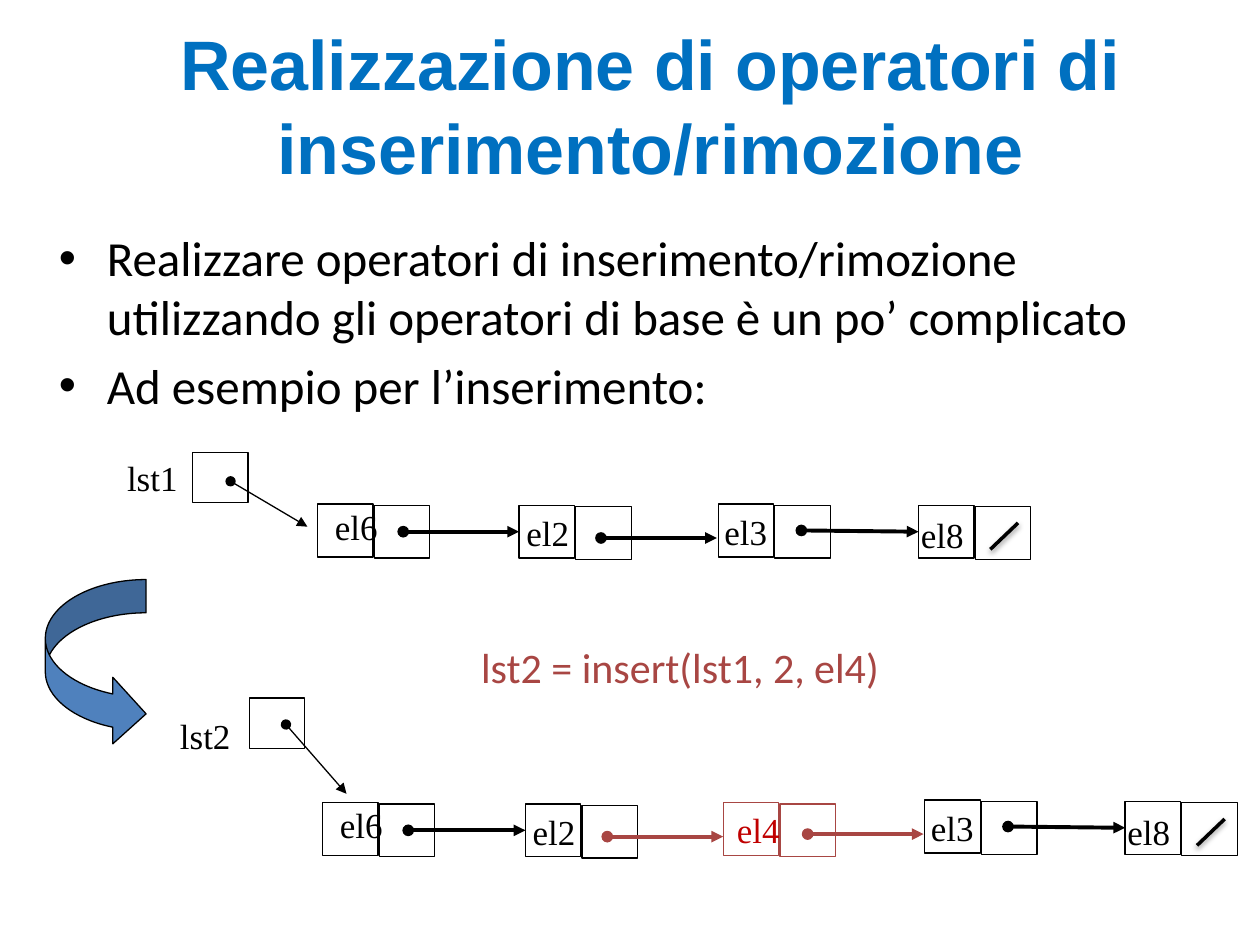
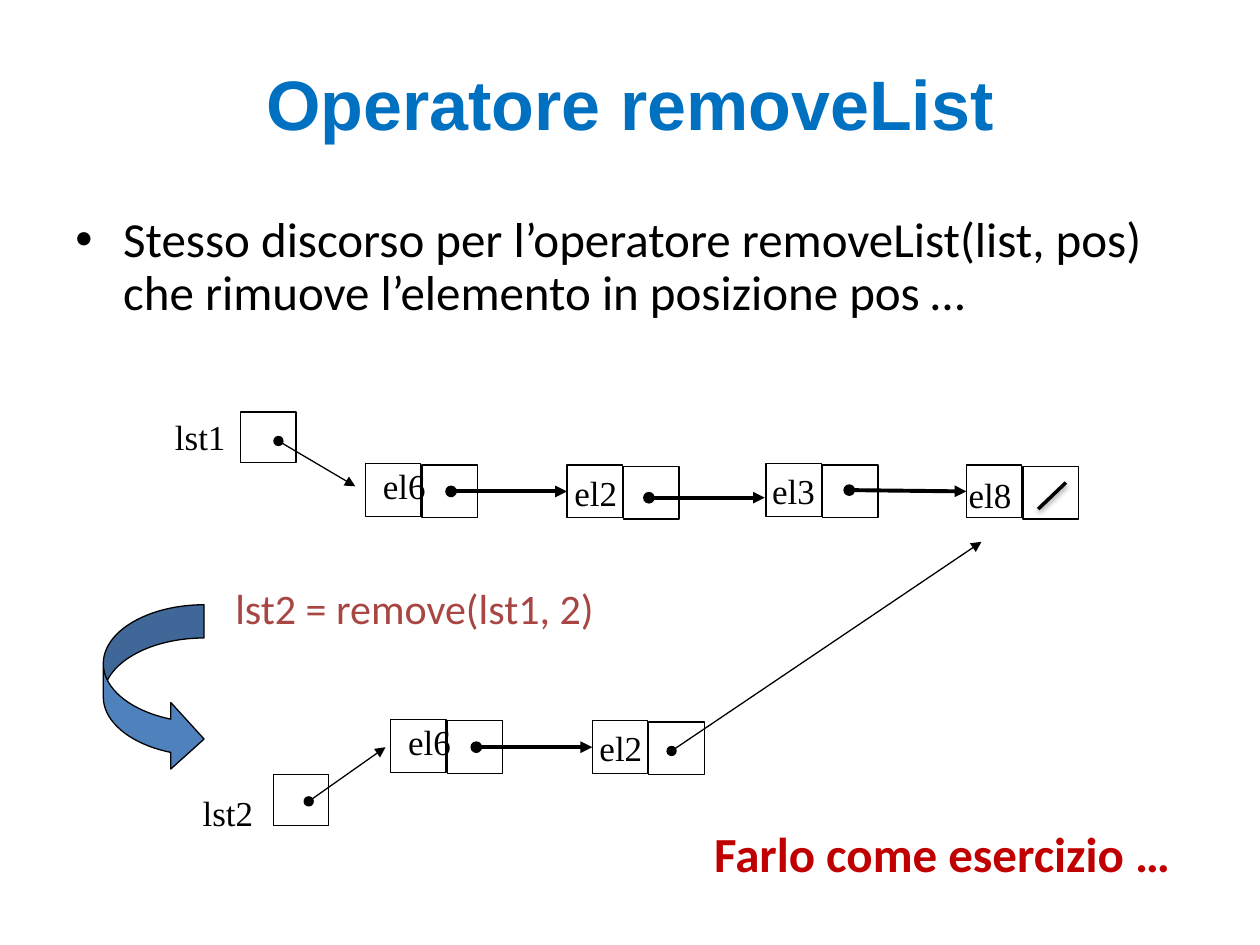
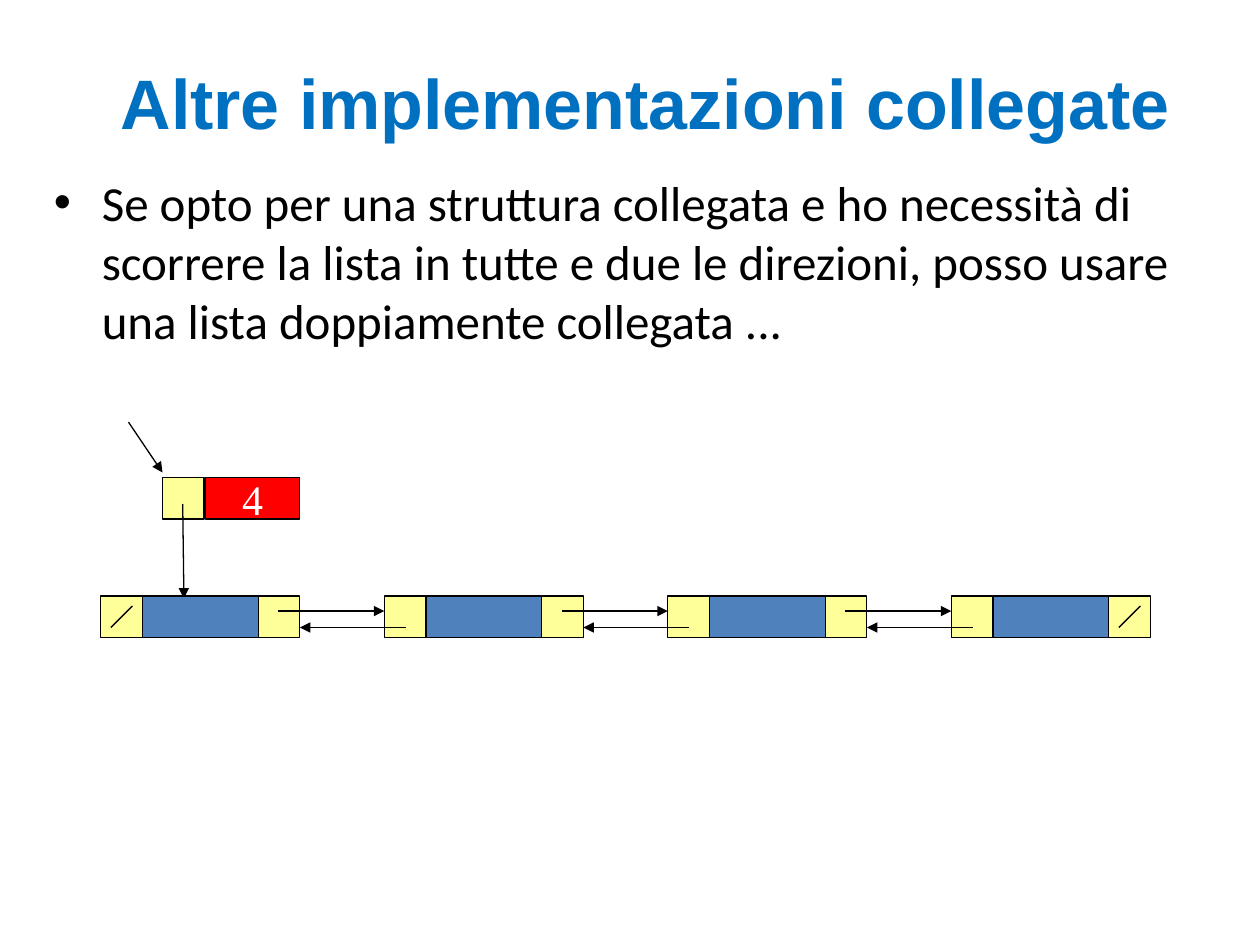
from dataclasses import dataclass
from typing import Optional

from lxml import etree
from pptx import Presentation
from pptx import util as u
from pptx.dml import color
from pptx.enum import shapes, text
from pptx.oxml import ns


def rgb(value: str) -> color.RGBColor:
    return color.RGBColor.from_string(value)


@dataclass(frozen=True)
class Theme:
    black: color.RGBColor = rgb("000000")
    white: color.RGBColor = rgb("FFFFFF")
    title: color.RGBColor = rgb("0070C0")
    accent: color.RGBColor = rgb("4F81BD")
    command: color.RGBColor = rgb("A84643")
    alert: color.RGBColor = rgb("C00000")
    counter: color.RGBColor = rgb("FF0000")
    pointer: color.RGBColor = rgb("FFFF99")
    title_font: str = "Arial"
    body_font: str = "Calibri"
    label_font: str = "Times New Roman"
    title_size: u.Pt = u.Pt(40)
    body_size: u.Pt = u.Pt(28)
    command_size: u.Pt = u.Pt(24)
    label_size: u.Pt = u.Pt(20)
    thin: u.Pt = u.Pt(0.75)
    slash: u.Pt = u.Pt(2)
    thick: u.Pt = u.Pt(2.25)


THEME = Theme()


@dataclass(frozen=True)
class Point:
    x: float
    y: float

    def moved(self, dx: float, dy: float) -> "Point":
        return Point(round(self.x + dx, 2), round(self.y + dy, 2))


@dataclass(frozen=True)
class Area:
    left: float
    top: float
    width: float
    height: float

    def lengths(self) -> list:
        return [u.Inches(v) for v in (self.left, self.top, self.width, self.height)]


@dataclass(frozen=True)
class Element:
    label_dx: float
    label_dy: float
    link_dx: float = 0
    link_dy: float = 0
    joined: bool = False


ELEMENTS = {
    "el6": Element(0.04, -0.04, 0.68, 0.22, True),
    "el2": Element(-0.04, 0, 0.65, 0.26),
    "el3": Element(-0.05, 0, 0.66, 0.21, True),
    "el4": Element(0.01, 0, 0.67, 0.25),
    "el8": Element(-0.08, 0.02),
}


@dataclass(frozen=True)
class Node:
    name: str
    corner: Point
    line: color.RGBColor = THEME.black
    label: color.RGBColor = THEME.black
    link: color.RGBColor = THEME.black


@dataclass(frozen=True)
class Head:
    name: str
    corner: Point
    label: Point
    start: Point
    end: Point


def add_xml(parent, tag: str, **attributes: str):
    return etree.SubElement(parent, ns.qn(tag), attributes)


def set_font(para, name: str, size: u.Pt, ink: color.RGBColor, bold: bool = False) -> None:
    para.font.name = name
    para.font.size = size
    para.font.bold = bold
    para.font.color.rgb = ink


def add_text(page, area: Area, words: str, name: str, size: u.Pt,
             ink: color.RGBColor, bold: bool = False):
    box = page.shapes.add_textbox(*area.lengths())
    frame = box.text_frame
    frame.word_wrap = False
    frame.auto_size = text.MSO_AUTO_SIZE.SHAPE_TO_FIT_TEXT
    para = frame.paragraphs[0]
    para.text = words
    set_font(para, name, size, ink, bold)
    return para


def add_title(page, area: Area, words: str) -> None:
    frame = page.shapes.add_textbox(*area.lengths()).text_frame
    frame.word_wrap = True
    frame.vertical_anchor = text.MSO_ANCHOR.MIDDLE
    para = frame.paragraphs[0]
    para.text = words
    para.alignment = text.PP_ALIGN.CENTER
    set_font(para, THEME.title_font, THEME.title_size, THEME.title, True)


def add_bullets(page, area: Area, items: list[str], spacing: Optional[float] = None) -> None:
    frame = page.shapes.add_textbox(*area.lengths()).text_frame
    frame.word_wrap = True
    for index, item in enumerate(items):
        para = frame.add_paragraph() if index else frame.paragraphs[0]
        para.text = item
        properties = para._p.get_or_add_pPr()
        properties.set("marL", str(u.Inches(0.38)))
        properties.set("indent", str(u.Inches(-0.38)))
        add_xml(properties, "a:buFont", typeface="Arial")
        add_xml(properties, "a:buChar", char="•")
        if index:
            para.space_before = u.Pt(5.6)
        if spacing:
            para.line_spacing = spacing
        set_font(para, THEME.body_font, THEME.body_size, THEME.black)


def add_command(page, area: Area, words: str) -> None:
    para = add_text(page, area, words, THEME.body_font, THEME.command_size, THEME.command)
    para._p.get_or_add_pPr().set("marL", str(u.Inches(0.06)))
    para.line_spacing = 0.9


def add_label(page, corner: Point, words: str, width: float,
              ink: color.RGBColor = THEME.black) -> None:
    add_text(page, Area(corner.x, corner.y, width, 0.43), words,
             THEME.label_font, THEME.label_size, ink)


def add_box(page, area: Area, fill: Optional[color.RGBColor] = None,
            line: color.RGBColor = THEME.black,
            preset=shapes.MSO_SHAPE.RECTANGLE):
    box = page.shapes.add_shape(preset, *area.lengths())
    box.shadow.inherit = False
    if fill is None:
        box.fill.background()
    else:
        box.fill.solid()
        box.fill.fore_color.rgb = fill
    box.line.color.rgb = line
    box.line.width = THEME.thin
    return box


def add_line(page, start: Point, end: Point, width: u.Pt = THEME.thin,
             ink: color.RGBColor = THEME.black, head: str = "none", tail: str = "none"):
    line = page.shapes.add_connector(
        shapes.MSO_CONNECTOR.STRAIGHT,
        *[u.Inches(v) for v in (start.x, start.y, end.x, end.y)])
    line.line.color.rgb = ink
    line.line.width = width
    outline = line.line._get_or_add_ln()
    add_xml(outline, "a:headEnd", type=head)
    add_xml(outline, "a:tailEnd", type=tail)
    add_xml(line._element.spPr, "a:effectLst")
    return line


def add_null_slash(page, corner: Point) -> None:
    line = add_line(page, corner.moved(0.57, 0.35), corner.moved(0.79, 0.14), THEME.slash)
    effects = line._element.spPr.find(ns.qn("a:effectLst"))
    shadow = add_xml(effects, "a:outerShdw", blurRad=str(u.Pt(3.1)), dist=str(u.Pt(1.6)),
                     dir="5400000", rotWithShape="0")
    shade = add_xml(shadow, "a:srgbClr", val=str(THEME.black))
    add_xml(shade, "a:alpha", val="38000")


def add_curved_arrow(page, corner: Point) -> None:
    arrow = add_box(page, Area(corner.x, corner.y, 0.8, 1.33), THEME.accent,
                    preset=shapes.MSO_SHAPE.CURVED_RIGHT_ARROW)
    for index, value in enumerate((0.33, 0.66, 0.33)):
        arrow.adjustments[index] = value


def add_head(page, head: Head) -> None:
    add_box(page, Area(head.corner.x, head.corner.y, 0.44, 0.4))
    add_line(page, head.start, head.end, head="oval", tail="triangle")
    add_label(page, head.label, head.name, 0.61)


def add_linked_list(page, head: Head, nodes: list[Node]) -> None:
    add_head(page, head)
    value_boxes = []
    for node in nodes:
        value, pointer = node.corner, node.corner.moved(0.45, 0.01)
        value_boxes.append(add_box(page, Area(value.x, value.y, 0.44, 0.42), line=node.line))
        add_box(page, Area(pointer.x, pointer.y, 0.44, 0.42), line=node.line)
    for node, target in zip(nodes, value_boxes[1:]):
        element = ELEMENTS[node.name]
        start = node.corner.moved(element.link_dx, element.link_dy)
        link = add_line(page, start, start.moved(0.92, 0), THEME.thick, node.link,
                        "oval", "triangle")
        if element.joined:
            link.end_connect(target, 1)
    for node in nodes:
        element = ELEMENTS[node.name]
        add_label(page, node.corner.moved(element.label_dx, element.label_dy),
                  node.name, 0.54, node.label)
    if nodes[-1].name == "el8":
        add_null_slash(page, nodes[-1].corner)


def add_first_list(page, corner: Point) -> None:
    head = Head("lst1", corner, corner.moved(-0.62, -0.02),
                corner.moved(0.3, 0.23), corner.moved(0.91, 0.59))
    offsets = {"el6": (0.99, 0.41), "el2": (2.59, 0.42),
               "el3": (4.17, 0.41), "el8": (5.76, 0.42)}
    add_linked_list(page, head, [Node(name, corner.moved(*offset))
                                 for name, offset in offsets.items()])


def build_insertion(page) -> None:
    add_title(page, Area(0.5, 0.09, 9.32, 1.48),
              "Realizzazione di operatori di inserimento/rimozione")
    add_bullets(page, Area(0.37, 1.76, 9.44, 1.88), [
        "Realizzare operatori di inserimento/rimozione utilizzando gli operatori "
        "di base è un po’ complicato",
        "Ad esempio per l’inserimento:"])
    add_curved_arrow(page, Point(0.36, 4.6))
    add_command(page, Area(3.66, 5.09, 3.45, 0.46), "lst2 = insert(lst1, 2, el4)")
    add_first_list(page, Point(1.53, 3.59))
    head = Head("lst2", Point(1.98, 5.54), Point(1.33, 5.62),
                Point(2.27, 5.75), Point(2.75, 6.3))
    add_linked_list(page, head, [
        Node("el6", Point(2.56, 6.37)),
        Node("el2", Point(4.17, 6.38), link=THEME.command),
        Node("el4", Point(5.74, 6.37), THEME.command, THEME.alert, THEME.command),
        Node("el3", Point(7.34, 6.35)),
        Node("el8", Point(8.93, 6.36))])


def build_removal(page) -> None:
    add_title(page, Area(0.5, 0.19, 9, 1.25), "Operatore removeList")
    add_bullets(page, Area(0.5, 1.66, 9.17, 1.22), [
        "Stesso discorso per l’operatore removeList(list, pos) che rimuove "
        "l’elemento in posizione pos …"], 0.9)
    add_curved_arrow(page, Point(0.82, 4.8))
    head = Head("lst2", Point(2.17, 6.15), Point(1.51, 6.23),
                Point(2.45, 6.36), Point(3.06, 5.93))
    add_linked_list(page, head, [Node("el6", Point(3.1, 5.71)),
                                 Node("el2", Point(4.7, 5.72))])
    add_line(page, Point(5.33, 5.96), Point(7.79, 4.3), head="oval", tail="triangle")
    add_command(page, Area(1.71, 4.62, 3.13, 0.46), "lst2 = remove(lst1, 2)")
    add_first_list(page, Point(1.91, 3.27))
    add_text(page, Area(5.57, 6.49, 3.86, 0.57), "Farlo come esercizio …",
             THEME.body_font, THEME.body_size, THEME.alert, True)


def build_double_links(page) -> None:
    add_title(page, Area(0.46, 0.21, 9.32, 1.19), "Altre implementazioni collegate")
    add_bullets(page, Area(0.33, 1.32, 9.44, 1.94), [
        "Se opto per una struttura collegata e ho necessità di scorrere la lista "
        "in tutte e due le direzioni, posso usare una lista doppiamente collegata ..."])
    side, value_width, pitch, count = 0.33, 0.92, 2.25, 4
    add_box(page, Area(1.29, 3.79, side, side), THEME.pointer)
    counter = add_box(page, Area(1.63, 3.79, 0.75, side), THEME.counter)
    counter.text_frame.word_wrap = False
    counter.text_frame.vertical_anchor = text.MSO_ANCHOR.MIDDLE
    para = counter.text_frame.paragraphs[0]
    para.text = str(count)
    para.alignment = text.PP_ALIGN.CENTER
    set_font(para, THEME.label_font, THEME.command_size, THEME.white)
    add_line(page, Point(1.02, 3.35), Point(1.29, 3.75), tail="triangle")
    add_line(page, Point(1.45, 4), Point(1.46, 4.75), tail="triangle")
    corners = [Point(0.8, 4.73).moved(index * pitch, 0) for index in range(count)]
    for corner in corners:
        value, after = corner.moved(side, 0), corner.moved(side + value_width, 0)
        add_box(page, Area(value.x, value.y, value_width, side), THEME.accent)
        for pointer in (corner, after):
            add_box(page, Area(pointer.x, pointer.y, side, side), THEME.pointer)
    for corner in corners[:-1]:
        add_line(page, corner.moved(1.41, 0.12), corner.moved(pitch, 0.12), tail="triangle")
        add_line(page, corner.moved(pitch + 0.17, 0.25), corner.moved(1.58, 0.25),
                 tail="triangle")
    for pointer in (corners[0], corners[-1].moved(side + value_width, 0)):
        add_line(page, pointer.moved(0.08, 0.25), pointer.moved(0.25, 0.08))


def main() -> None:
    deck = Presentation()
    deck.slide_width, deck.slide_height = u.Inches(10), u.Inches(7.5)
    for build in (build_insertion, build_removal, build_double_links):
        build(deck.slides.add_slide(deck.slide_layouts[6]))
    deck.save("out.pptx")


if __name__ == "__main__":
    main()
